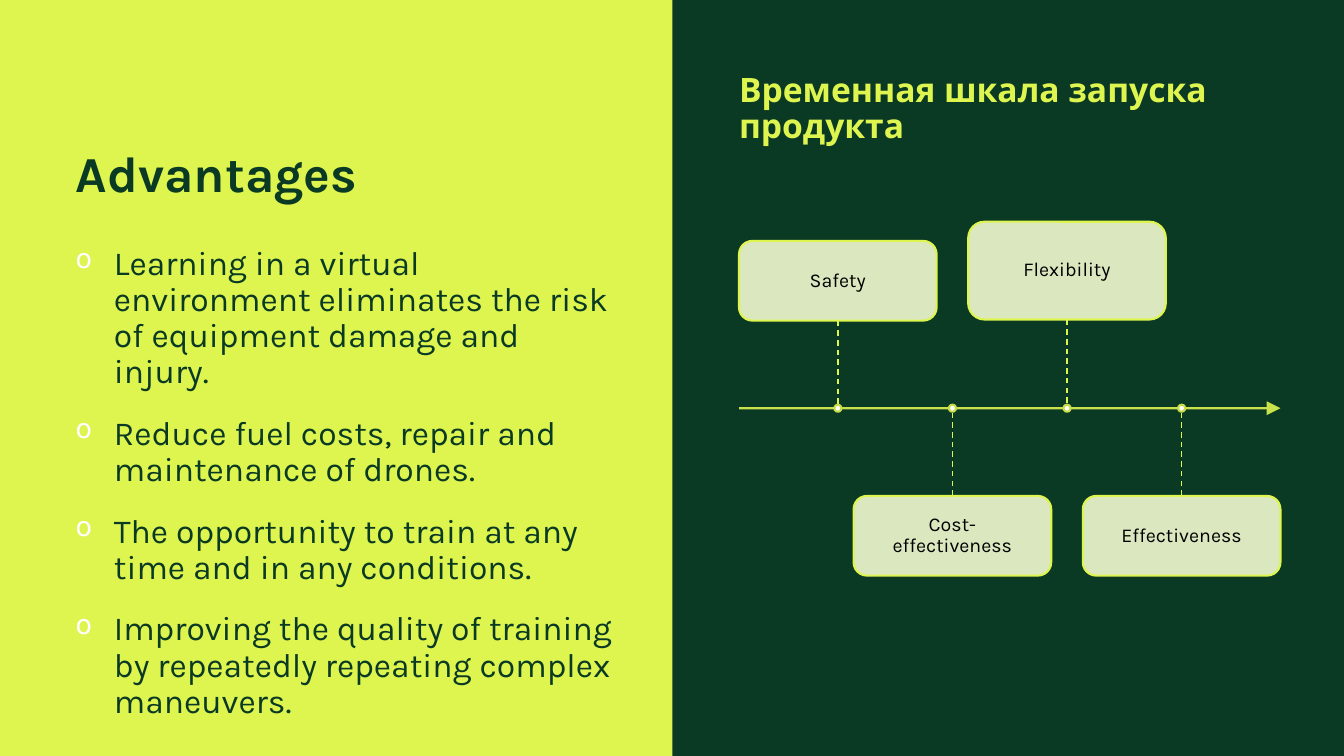
from dataclasses import dataclass

from lxml import etree
from pptx import Presentation
from pptx.dml.color import RGBColor
from pptx.enum import dml, shapes, text
from pptx.oxml import ns
from pptx.util import Inches, Pt

LIME = RGBColor(0xDE, 0xF4, 0x4F)
OLIVE = RGBColor(0xC9, 0xDD, 0x48)
GREEN = RGBColor(0x0B, 0x3A, 0x24)
PALE = RGBColor(0xF2, 0xFB, 0xD0)
WHITE = RGBColor(0xFF, 0xFF, 0xFF)
BLACK = RGBColor(0, 0, 0)
FONT = "Karla"

AXIS_Y = 4.05
AXIS_LEFT, AXIS_RIGHT = 7.33, 12.7
CARD_WIDTH = 1.96
CARD_STEP = (AXIS_RIGHT - AXIS_LEFT - CARD_WIDTH) / 3
DOT = 0.07


@dataclass
class Milestone:
    label: str
    top: float
    height: float
    inset: float = 0.18

    @property
    def edge_y(self) -> float:
        """Card edge that faces the axis."""
        return self.top + self.height if self.top < AXIS_Y else self.top


MILESTONES = [
    Milestone("Safety", 2.39, 0.79),
    Milestone("Cost-effectiveness", 4.92, 0.79),
    Milestone("Flexibility", 2.2, 0.97, 0.13),
    Milestone("Effectiveness", 4.92, 0.79),
]

ADVANTAGES = [
    "Learning in a virtual environment eliminates the risk of equipment damage and injury.",
    "Reduce fuel costs, repair and maintenance of drones.",
    "The opportunity to train at any time and in any conditions.",
    "Improving the quality of training by repeatedly repeating complex maneuvers.",
]


def add_child(parent, tag: str, **attrs: str):
    return etree.SubElement(parent, ns.qn(tag), attrs)


def set_alpha(fill_xml, percent: int) -> None:
    color = fill_xml.find(".//" + ns.qn("a:srgbClr"))
    add_child(color, "a:alpha", val=str(percent * 1000))


def add_block(s, kind, left: float, top: float, width: float, height: float, fill, line=None):
    sp = s.shapes.add_shape(kind, Inches(left), Inches(top), Inches(width), Inches(height))
    sp.shadow.inherit = False
    sp.fill.solid()
    sp.fill.fore_color.rgb = fill
    if line is None:
        sp.line.fill.background()
    else:
        sp.line.color.rgb = line
        sp.line.width = Pt(1.5)
    return sp


def add_line(s, x1: float, y1: float, x2: float, y2: float, width: float):
    c = s.shapes.add_connector(shapes.MSO_CONNECTOR.STRAIGHT,
                               Inches(x1), Inches(y1), Inches(x2), Inches(y2))
    c.line.color.rgb = LIME
    c.line.width = Pt(width)
    add_child(c._element.spPr, "a:effectLst")
    return c


def write(tf, lines: list[str], size: int, color: RGBColor, anchor, bold=False,
          align=text.PP_ALIGN.LEFT, before: int = 0, inset_x: float = 0, inset_y: float = 0) -> None:
    tf.word_wrap = True
    tf.vertical_anchor = anchor
    tf.margin_left = tf.margin_right = Inches(inset_x)
    tf.margin_top = tf.margin_bottom = Inches(inset_y)
    for i, line in enumerate(lines):
        p = tf.paragraphs[0] if i == 0 else tf.add_paragraph()
        p.text = line
        p.alignment = align
        p.line_spacing = 0.9
        p.space_before = Pt(before)
        r = p.runs[0]
        r.font.name = FONT
        r.font.size = Pt(size)
        r.font.bold = bold
        r.font.color.rgb = color


def add_text(s, left: float, top: float, width: float, height: float, lines: list[str], **style):
    sp = s.shapes.add_textbox(Inches(left), Inches(top), Inches(width), Inches(height))
    write(sp.text_frame, lines, **style)
    return sp


def add_bullet(p) -> None:
    pPr = p._p.get_or_add_pPr()
    pPr.set("marL", str(Inches(0.38)))
    pPr.set("indent", str(Inches(-0.38)))
    add_child(add_child(pPr, "a:buClr"), "a:srgbClr", val=str(WHITE))
    add_child(pPr, "a:buSzPct", val="80000")
    add_child(pPr, "a:buChar", char="o")


def add_milestone(s, index: int, m: Milestone) -> None:
    left = AXIS_LEFT + index * CARD_STEP
    center = left + CARD_WIDTH / 2
    card = add_block(s, shapes.MSO_SHAPE.ROUNDED_RECTANGLE,
                     left, m.top, CARD_WIDTH, m.height, PALE, LIME)
    set_alpha(card._element.spPr.find(ns.qn("a:solidFill")), 90)
    write(card.text_frame, [m.label], size=14, color=BLACK, anchor=text.MSO_ANCHOR.MIDDLE,
          align=text.PP_ALIGN.CENTER, inset_x=m.inset, inset_y=0.14)
    stem = add_line(s, center, m.edge_y, center, AXIS_Y, 1)
    stem.line.dash_style = dml.MSO_LINE.DASH
    add_block(s, shapes.MSO_SHAPE.OVAL, center - DOT / 2, AXIS_Y - DOT / 2, DOT, DOT, WHITE, OLIVE)


def main() -> None:
    prs = Presentation()
    prs.slide_width, prs.slide_height = Inches(13.33), Inches(7.5)
    s = prs.slides.add_slide(prs.slide_layouts[6])

    # Background and left panel
    s.background.fill.solid()
    s.background.fill.fore_color.rgb = GREEN
    add_block(s, shapes.MSO_SHAPE.RECTANGLE, 0, 0, 6.67, 7.5, LIME)

    # Headings
    add_text(s, 0.75, 0.04, 5.65, 1.98, ["Advantages"], size=36, color=GREEN,
             anchor=text.MSO_ANCHOR.BOTTOM, bold=True)
    add_text(s, AXIS_LEFT, 0.52, 5.37, 1.14, ["Временная шкала запуска продукта"], size=24,
             color=LIME, anchor=text.MSO_ANCHOR.MIDDLE, bold=True, before=18)

    # Bulleted list
    body = add_text(s, 0.75, 2.44, 5.37, 4.39, ADVANTAGES, size=24, color=GREEN,
                    anchor=text.MSO_ANCHOR.TOP, before=18)
    for p in body.text_frame.paragraphs:
        add_bullet(p)

    # Timeline
    axis = add_line(s, AXIS_LEFT, AXIS_Y, AXIS_RIGHT, AXIS_Y, 1.5)
    ln = axis.line._get_or_add_ln()
    set_alpha(ln, 90)
    add_child(ln, "a:tailEnd", type="triangle", w="lg", len="lg")
    for i, m in enumerate(MILESTONES):
        add_milestone(s, i, m)

    prs.save("out.pptx")


if __name__ == "__main__":
    main()
